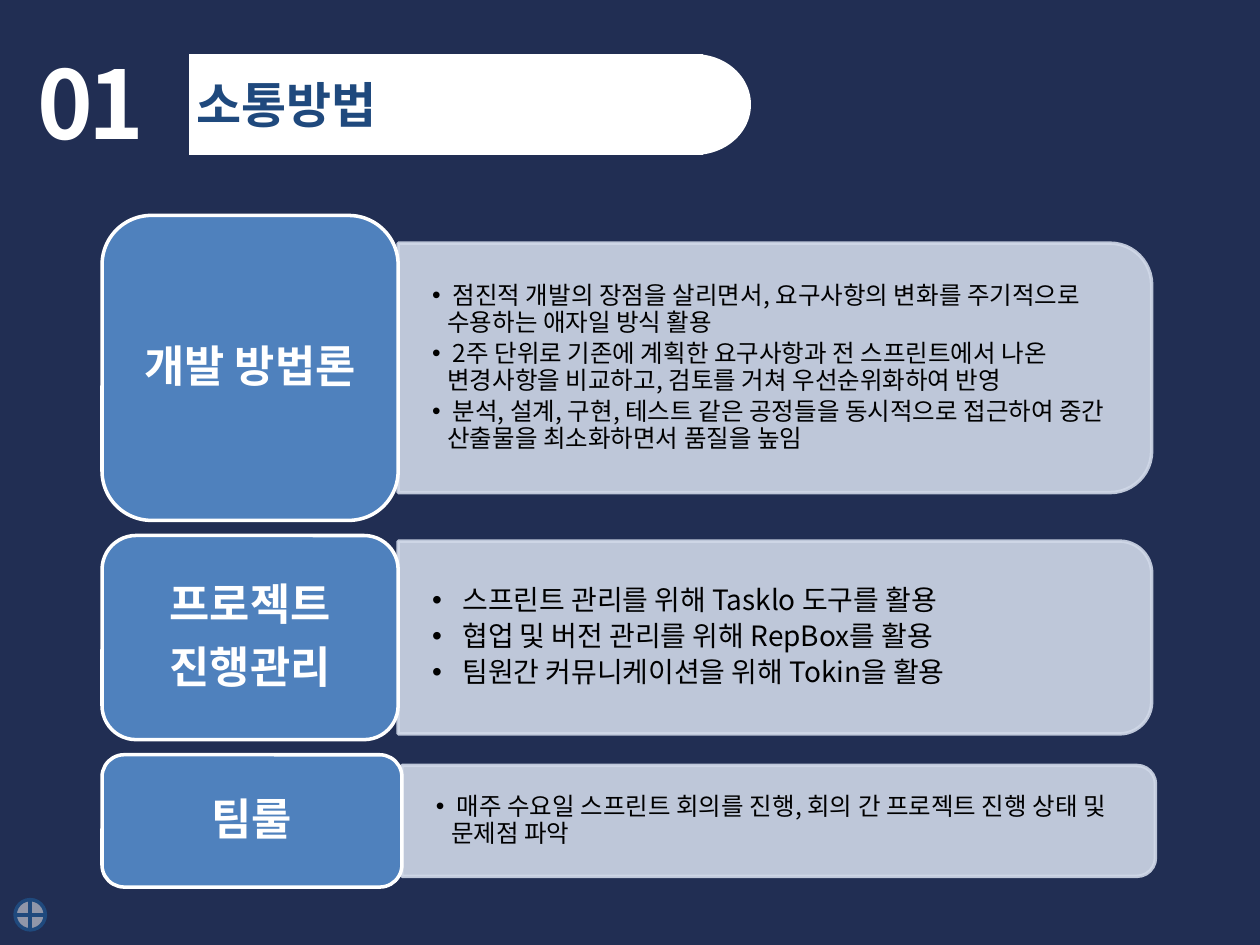
from dataclasses import dataclass

from lxml import etree
from pptx import Presentation
from pptx.dml.color import RGBColor
from pptx.enum.shapes import MSO_SHAPE
from pptx.enum.text import MSO_ANCHOR, MSO_AUTO_SIZE, PP_ALIGN
from pptx.oxml.ns import qn
from pptx.util import Inches, Pt

RECTANGLE, ELLIPSE = MSO_SHAPE.RECTANGLE, MSO_SHAPE.OVAL
ROUNDED, ROUNDED_TOP = MSO_SHAPE.ROUNDED_RECTANGLE, MSO_SHAPE.ROUND_2_SAME_RECTANGLE
CROSSED_CIRCLE = MSO_SHAPE.FLOWCHART_OR
TOP, MIDDLE = MSO_ANCHOR.TOP, MSO_ANCHOR.MIDDLE
LEFT, CENTER = PP_ALIGN.LEFT, PP_ALIGN.CENTER
NO_AUTOFIT = MSO_AUTO_SIZE.NONE

NAVY = RGBColor(0x21, 0x2E, 0x53)
DARK_BLUE = RGBColor(0x1F, 0x49, 0x7D)
BLUE = RGBColor(0x4F, 0x81, 0xBD)
PALE_BLUE = RGBColor(0xD0, 0xD8, 0xE8)
WHITE = RGBColor(0xFF, 0xFF, 0xFF)
BLACK = RGBColor(0, 0, 0)

FONT = "Noto Sans CJK KR"
LABEL_LEFT = 0.81
PANEL_WIDTH = 5.98
COMPARISON_LAYOUT = 4


@dataclass
class Section:
    label: str
    items: list[str]
    top: float
    height: float
    label_width: float
    panel_height: float
    size: int
    indent: float


SECTIONS = [
    Section("개발 방법론", [
        " 점진적 개발의 장점을 살리면서, 요구사항의 변화를 주기적으로 수용하는 애자일 방식 활용",
        " 2주 단위로 기존에 계획한 요구사항과 전 스프린트에서 나온 변경사항을 비교하고, 검토를 거쳐 우선순위화하여 반영",
        " 분석, 설계, 구현, 테스트 같은 공정들을 동시적으로 접근하여 중간 산출물을 최소화하면서 품질을 높임",
    ], 1.71, 2.42, 2.35, 1.98, 14, 0.12),
    Section("프로젝트\n진행관리", [
        " 스프린트 관리를 위해 Tasklo 도구를 활용",
        " 협업 및 버전 관리를 위해 RepBox를 활용",
        " 팀원간 커뮤니케이션을 위해 Tokin을 활용",
    ], 4.25, 1.62, 2.35, 1.53, 16, 0.19),
    Section("팀룰", [
        " 매주 수요일 스프린트 회의를 진행, 회의 간 프로젝트 진행 상태 및 문제점 파악",
    ], 5.99, 1.05, 2.38, 0.88, 14, 0.12),
]


def place(shape, left: float, top: float, width: float, height: float) -> None:
    shape.left, shape.top = Inches(left), Inches(top)
    shape.width, shape.height = Inches(width), Inches(height)


def bring_to_front(shape) -> None:
    shape.element.getparent().append(shape.element)


def format_runs(paragraph, size: int, color: RGBColor, bold: bool) -> None:
    for run in paragraph.runs:
        run.font.size, run.font.bold, run.font.name = Pt(size), bold, FONT
        run.font.color.rgb = color
        east_asian = etree.Element(qn("a:ea"), typeface=FONT)
        run.font._element.find(qn("a:latin")).addnext(east_asian)


def space_paragraph(paragraph, after: float) -> None:
    paragraph.line_spacing = 0.9
    paragraph.space_before = Pt(0)
    paragraph.space_after = Pt(after)


def add_filled(slide, kind, box: tuple, fill: RGBColor, line: RGBColor | None = None,
               fill_opacity: int = 100, line_opacity: int = 100):
    shape = slide.shapes.add_shape(kind, *(Inches(value) for value in box))
    shape.shadow.inherit = False
    shape.fill.solid()
    shape.fill.fore_color.rgb = fill
    if line is None:
        shape.line.fill.background()
    else:
        shape.line.color.rgb = line
        shape.line.width = Pt(2)
    colors = shape.element.spPr.iter(qn("a:srgbClr"))
    for color, opacity in zip(list(colors), (fill_opacity, line_opacity)):
        if opacity < 100:
            etree.SubElement(color, qn("a:alpha"), val=str(opacity * 1000))
    return shape


def add_bullet(paragraph, indent: float) -> None:
    properties = paragraph._p.get_or_add_pPr()
    properties.set("marL", str(Inches(indent)))
    properties.set("indent", str(-Inches(indent)))
    etree.SubElement(properties, qn("a:buFont"), typeface="Arial")
    etree.SubElement(properties, qn("a:buChar"), char="•")


def add_section(slide, section: Section, body) -> None:
    middle = section.top + section.height / 2
    panel_left = LABEL_LEFT + section.label_width

    # Panel: a top-rounded rectangle turned so its round side faces right
    panel_height = section.panel_height
    panel = add_filled(
        slide, ROUNDED_TOP,
        (panel_left + (PANEL_WIDTH - panel_height) / 2, middle - PANEL_WIDTH / 2,
         panel_height, PANEL_WIDTH),
        PALE_BLUE, PALE_BLUE, 90, 90)
    panel.rotation = 90

    # Bullet list
    text_height = 0.9 * panel_height
    place(body, panel_left, middle - text_height / 2,
          PANEL_WIDTH - 0.05 * panel_height, text_height)
    bring_to_front(body)
    frame = body.text_frame
    frame.text = "\n".join(section.items)
    frame.word_wrap, frame.auto_size = True, NO_AUTOFIT
    frame.vertical_anchor = MIDDLE
    frame.margin_left = frame.margin_right = Inches(0.27)
    frame.margin_top = frame.margin_bottom = Inches(0.14)
    for paragraph in frame.paragraphs:
        paragraph.level = 1
        paragraph.alignment = LEFT
        add_bullet(paragraph, section.indent)
        space_paragraph(paragraph, 0.2 * section.size)
        format_runs(paragraph, section.size, BLACK, False)

    # Label
    label = add_filled(
        slide, ROUNDED,
        (LABEL_LEFT, section.top, section.label_width, section.height), BLUE, WHITE)
    frame = label.text_frame
    frame.text = section.label
    frame.word_wrap, frame.vertical_anchor = True, MIDDLE
    for paragraph in frame.paragraphs:
        paragraph.alignment = CENTER
        space_paragraph(paragraph, 8.75)
        format_runs(paragraph, 25, WHITE, True)


def add_heading(slide) -> None:
    # Section number
    number = slide.shapes.add_textbox(Inches(0.2), Inches(0.31), Inches(1.52), Inches(1.01))
    number.text_frame.text = "01"
    number.text_frame.word_wrap = True
    paragraph = number.text_frame.paragraphs[0]
    format_runs(paragraph, 54, WHITE, True)
    paragraph.runs[0].font._element.set("spc", "-300")

    # Corner mark and title bar
    add_filled(slide, CROSSED_CIRCLE, (0.12, 7.14, 0.24, 0.24), WHITE, DARK_BLUE, 50)
    add_filled(slide, RECTANGLE, (1.5, 0.43, 4.08, 0.8), WHITE)
    add_filled(slide, ELLIPSE, (5.07, 0.43, 0.89, 0.8), WHITE)

    # Title
    title = slide.shapes.title
    place(title, 1.46, 0.54, 5.64, 0.57)
    bring_to_front(title)
    frame = title.text_frame
    frame.text = "소통방법"
    frame.word_wrap, frame.auto_size = True, NO_AUTOFIT
    frame.vertical_anchor = TOP
    frame.paragraphs[0].alignment = LEFT
    format_runs(frame.paragraphs[0], 28, DARK_BLUE, True)


def main() -> None:
    presentation = Presentation()
    presentation.slide_width, presentation.slide_height = Inches(10), Inches(7.5)
    slide = presentation.slides.add_slide(presentation.slide_layouts[COMPARISON_LAYOUT])
    slide.background.fill.solid()
    slide.background.fill.fore_color.rgb = NAVY

    _, *bodies, spare = list(slide.placeholders)
    spare.element.getparent().remove(spare.element)

    add_heading(slide)
    for section, body in zip(SECTIONS, bodies):
        add_section(slide, section, body)
    presentation.save("out.pptx")


if __name__ == "__main__":
    main()
